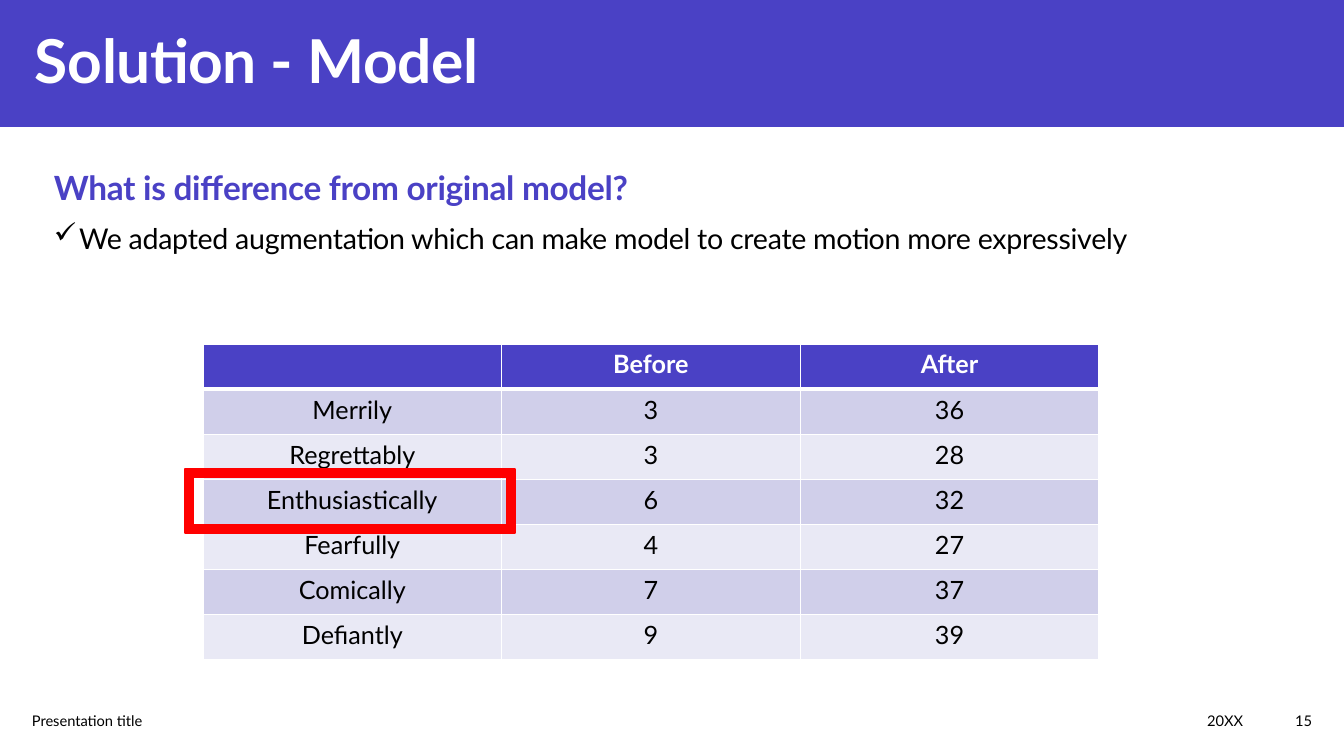
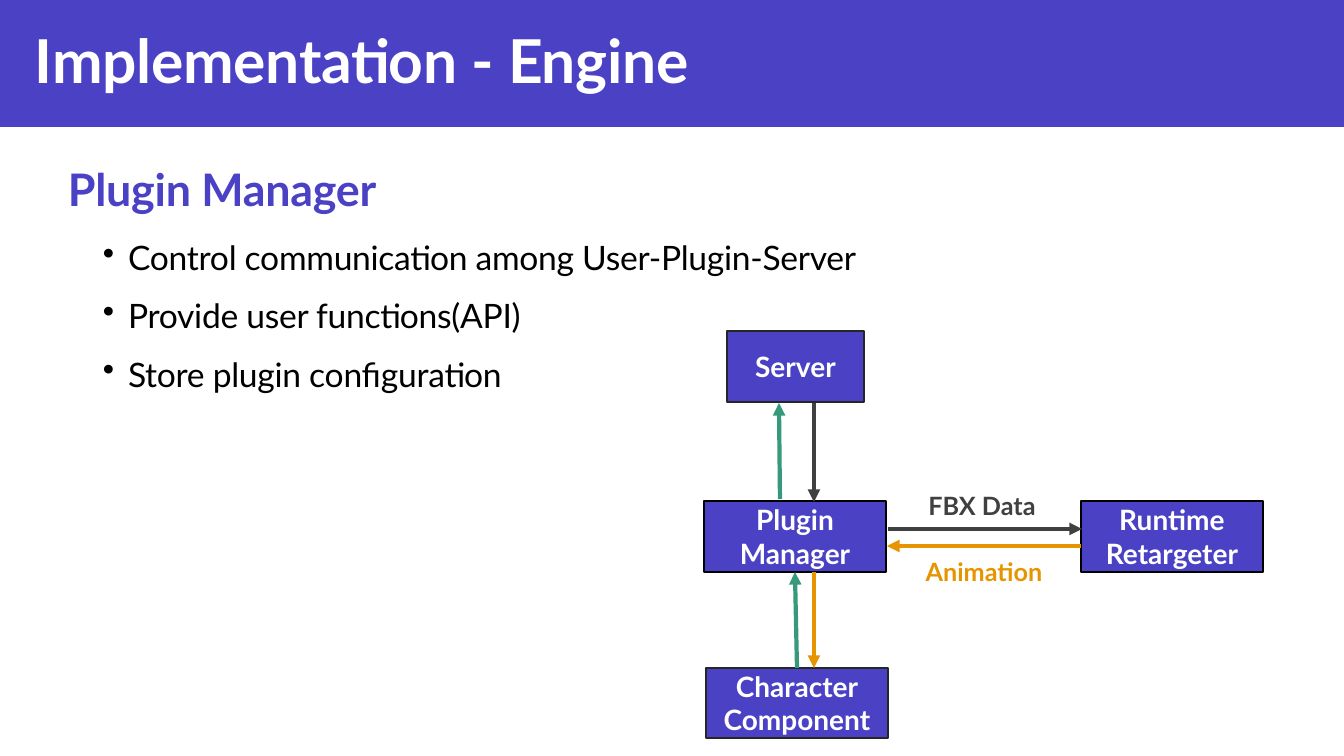
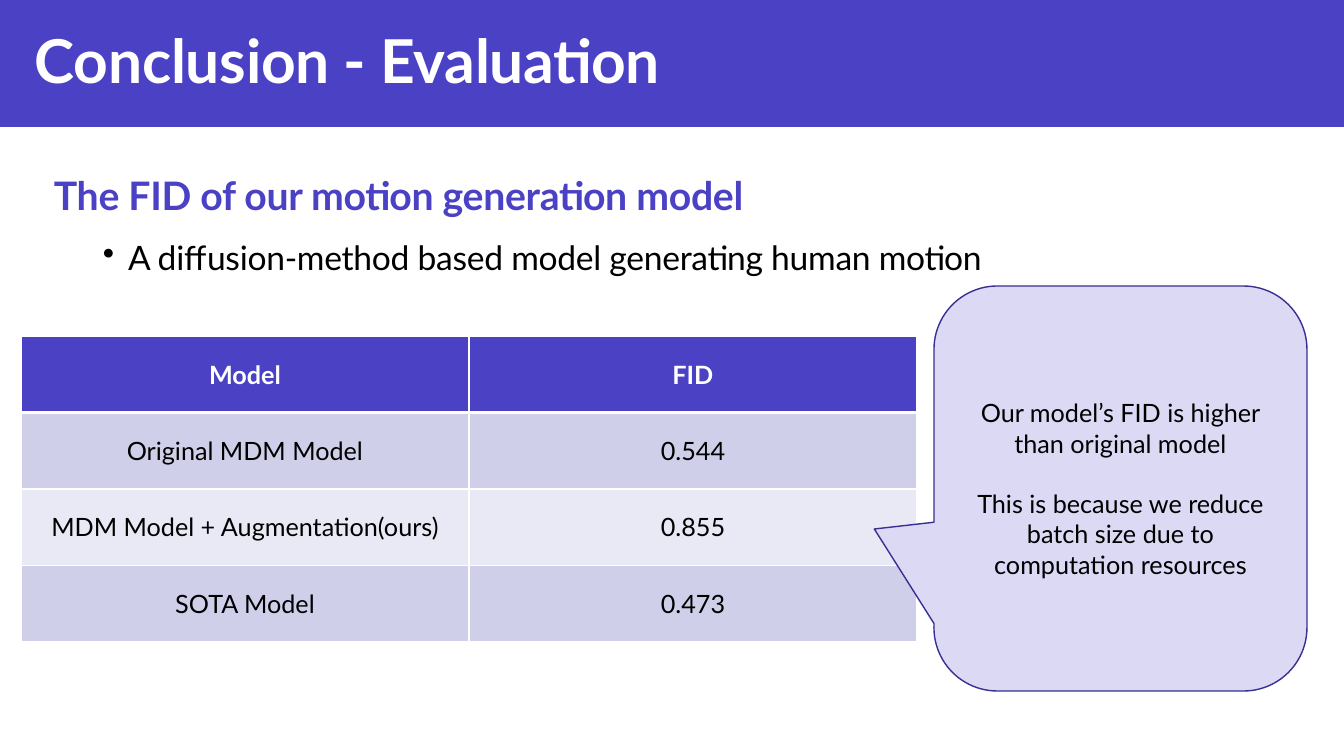
from dataclasses import dataclass

from lxml import etree
from pptx import Presentation
from pptx.dml.color import RGBColor
from pptx.enum.shapes import MSO_CONNECTOR, MSO_SHAPE
from pptx.enum.text import MSO_ANCHOR, PP_ALIGN
from pptx.oxml.ns import qn
from pptx.util import Emu, Pt

RECT = MSO_SHAPE.RECTANGLE
FRAME = MSO_SHAPE.FRAME
BUBBLE = MSO_SHAPE.ROUNDED_RECTANGULAR_CALLOUT
LINE = MSO_CONNECTOR.STRAIGHT
LEFT, MID, RIGHT = PP_ALIGN.LEFT, PP_ALIGN.CENTER, PP_ALIGN.RIGHT
TOP, CORE = MSO_ANCHOR.TOP, MSO_ANCHOR.MIDDLE

WIDE, HIGH = 1344, 756
SCALE = 12192000 / WIDE


@dataclass(frozen=True)
class Theme:
    font: str = "Lato"
    main: str = "4A41C5"
    white: str = "FFFFFF"
    black: str = "000000"
    edge: str = "262626"
    gray: str = "404040"
    green: str = "37997B"
    gold: str = "E69500"
    red: str = "FF0000"
    odd: str = "D0CFEA"
    even: str = "E9E9F5"
    pale: str = "DBD9F3"
    deep: str = "373092"
    title: float = 43.2
    body: float = 24
    node: float = 20
    cell: float = 18
    foot: float = 10.5
    tight: int = -20


T = Theme()


@dataclass(frozen=True)
class Area:
    x: int
    y: int
    w: int
    h: int


@dataclass(frozen=True)
class Node:
    name: str
    lines: tuple[str, ...]
    area: Area
    edge: str


@dataclass(frozen=True)
class Arrow:
    start: tuple[int, int]
    end: tuple[int, int]
    color: str
    tail: tuple[str, int] | None = None
    head: tuple[str, int] | None = None


def px(num: int) -> Emu:
    return Emu(round(num * SCALE))


def spot(area: Area) -> tuple[Emu, ...]:
    return px(area.x), px(area.y), px(area.w), px(area.h)


def rgb(code: str) -> RGBColor:
    return RGBColor.from_string(code)


def write(frame, *lines: str, size: float = T.cell, color: str = T.black,
          bold: bool = False, align=LEFT, mark: str = "", gap: float = 0,
          lead: float | None = None, track: int = 0, more: bool = False) -> None:
    """Fill a text frame, one paragraph a line; more adds below existing text."""
    for i, line in enumerate(lines):
        first = i == 0 and not more
        para = frame.paragraphs[0] if first else frame.add_paragraph()
        if mark:
            props = para._p.get_or_add_pPr()
            props.set("marL", "228600")
            props.set("indent", "-228600")
            etree.SubElement(props, qn("a:buChar")).set("char", mark)
        para.alignment = align
        if lead:
            para.line_spacing = lead
        if gap and not first:
            para.space_before = Pt(gap)
        run = para.add_run()
        run.text = line
        font = run.font
        font.name, font.size, font.bold = T.font, Pt(size), bold
        font.color.rgb = rgb(color)
        if track:
            run._r.get_or_add_rPr().set("spc", str(track))


def label(slide, area: Area, *lines: str, anchor=TOP, **form):
    frame = slide.shapes.add_textbox(*spot(area)).text_frame
    frame.word_wrap = True
    frame.vertical_anchor = anchor
    if anchor == CORE:
        frame.margin_top = frame.margin_bottom = 0
    write(frame, *lines, **form)
    return frame


def block(slide, kind, area: Area, fill: str, edge: str = ""):
    shape = slide.shapes.add_shape(kind, *spot(area))
    shape.shadow.inherit = False
    shape.fill.solid()
    shape.fill.fore_color.rgb = rgb(fill)
    if edge:
        shape.line.color.rgb = rgb(edge)
        shape.line.width = Pt(1)
    else:
        shape.line.fill.background()
    frame = shape.text_frame
    frame.word_wrap = True
    frame.vertical_anchor = CORE
    frame.margin_top = frame.margin_bottom = 0
    return shape


def rule(cell, side: str, width: float) -> None:
    line = etree.SubElement(cell._tc.get_or_add_tcPr(), qn(f"a:ln{side}"))
    line.set("w", str(Pt(width)))
    fill = etree.SubElement(line, qn("a:solidFill"))
    etree.SubElement(fill, qn("a:srgbClr")).set("val", T.white)


def grid(slide, area: Area, rows: list[tuple[str, ...]], anchor=TOP) -> None:
    table = slide.shapes.add_table(len(rows), len(rows[0]), *spot(area)).table
    for r, row in enumerate(rows):
        head = r == 0
        fill = T.main if head else T.odd if r % 2 else T.even
        for c, text in enumerate(row):
            cell = table.cell(r, c)
            for side in "LRTB":
                thick = (r, side) in ((0, "B"), (1, "T"))
                rule(cell, side, 3 if thick else 1)
            cell.fill.solid()
            cell.fill.fore_color.rgb = rgb(fill)
            cell.vertical_anchor = anchor
            write(cell.text_frame, text, bold=head, align=MID,
                  color=T.white if head else T.black)


def link(slide, arrow: Arrow, boxes: dict) -> None:
    ends = [px(n) for n in (*arrow.start, *arrow.end)]
    line = slide.shapes.add_connector(LINE, *ends)
    if arrow.tail:
        line.begin_connect(boxes[arrow.tail[0]], arrow.tail[1])
    if arrow.head:
        line.end_connect(boxes[arrow.head[0]], arrow.head[1])
    line.line.color.rgb = rgb(arrow.color)
    line.line.width = Pt(3)
    tip = etree.SubElement(line.line._get_or_add_ln(), qn("a:tailEnd"))
    tip.set("type", "triangle")
    etree.SubElement(line._element.spPr, qn("a:effectLst"))


def page(deck, title: str):
    """Start a slide with the shared band and title."""
    slide = deck.slides.add_slide(deck.slide_layouts[6])
    block(slide, RECT, Area(0, 0, WIDE, 127), T.main)
    label(slide, Area(25, 17, 1038, 85), title, anchor=CORE, size=T.title,
          color=T.white, bold=True, track=T.tight)
    return slide


def topic(slide, area: Area, text: str, size: float, lead: float | None = 1.1):
    return label(slide, area, text, size=size, color=T.main, bold=True,
                 lead=lead, track=T.tight)


def points(slide, high: int, *lines: str) -> None:
    label(slide, Area(93, 228, 1060, high), *lines, size=T.body, mark="•",
          gap=10, lead=1.1, track=T.tight)


def model(deck) -> None:
    slide = page(deck, "Solution - Model")
    # Footer
    for x, wide, text, align in ((22, 533, "Presentation title", LEFT),
                                 (773, 480, "20XX", RIGHT),
                                 (1253, 69, "15", RIGHT)):
        label(slide, Area(x, 701, wide, 40), text, anchor=CORE,
              size=T.foot, align=align)
    # Word counts
    grid(slide, Area(203, 344, 896, 316), [
        ("", "Before", "After"),
        ("Merrily", "3", "36"),
        ("Regrettably", "3", "28"),
        ("Enthusiastically", "6", "32"),
        ("Fearfully", "4", "27"),
        ("Comically", "7", "37"),
        ("Defiantly", "9", "39"),
    ])
    # Heading and claim
    frame = topic(slide, Area(44, 162, 1132, 126),
                  "What is difference from original model?", 23.8, None)
    write(frame, "We adapted augmentation which can make model to create "
          "motion more expressively", size=20.4, mark="✓", gap=10,
          track=T.tight, more=True)
    # Highlight
    block(slide, FRAME, Area(185, 469, 330, 64), T.red, T.red)


def plugin(deck) -> None:
    slide = page(deck, "Implementation - Engine")
    topic(slide, Area(58, 151, 954, 72), "Plugin Manager", 32)
    points(slide, 308, "Control communication among User-Plugin-Server",
           "Provide user functions(API)", "Store plugin configuration")
    # Boxes
    nodes = (
        Node("server", ("Server",), Area(727, 331, 137, 71), T.edge),
        Node("actor", ("Character", "Component"),
             Area(706, 668, 182, 70), T.edge),
        Node("target", ("Runtime", "Retargeter"),
             Area(1081, 501, 182, 71), T.black),
        Node("plugin", ("Plugin", "Manager"),
             Area(704, 501, 182, 71), T.black),
    )
    boxes = {}
    for node in nodes:
        box = block(slide, RECT, node.area, T.main, node.edge)
        write(box.text_frame, *node.lines, size=T.node, color=T.white,
              bold=True, align=MID)
        boxes[node.name] = box
    # Arrows
    for arrow in (
        Arrow((1081, 546), (887, 546), T.gold),
        Arrow((888, 529), (1082, 529), T.gray),
        Arrow((797, 668), (795, 572), T.green, ("actor", 0), ("plugin", 2)),
        Arrow((814, 572), (814, 668), T.gold),
        Arrow((814, 403), (814, 502), T.gray),
        Arrow((780, 499), (779, 403), T.green),
    ):
        link(slide, arrow, boxes)
    # Arrow labels
    for area, text, color in (
        (Area(898, 536, 172, 70), "Animation", T.gold),
        (Area(891, 490, 182, 30), "FBX Data", T.gray),
    ):
        label(slide, area, text, anchor=CORE, color=color, bold=True, align=MID)


def result(deck) -> None:
    slide = page(deck, "Conclusion - Evaluation")
    topic(slide, Area(44, 162, 873, 66),
          "The FID of our motion generation model", 28)
    points(slide, 118, "A diffusion-method based model generating human motion")
    # Scores
    grid(slide, Area(21, 336, 896, 306), [
        ("Model", "FID"),
        ("Original MDM Model", "0.544"),
        ("MDM Model + Augmentation(ours)", "0.855"),
        ("SOTA Model", "0.473"),
    ], CORE)
    # Remark
    note = block(slide, BUBBLE, Area(934, 286, 373, 405), T.pale, T.deep)
    for i, value in enumerate((-0.66, 0.1, 0.17)):
        note.adjustments[i] = value
    write(note.text_frame, "Our model’s FID is higher than original model",
          "This is because we reduce batch size due to computation resources",
          align=MID, gap=21.6)


def main() -> None:
    deck = Presentation()
    deck.slide_width, deck.slide_height = px(WIDE), px(HIGH)
    for build in (model, plugin, result):
        build(deck)
    deck.save("out.pptx")


if __name__ == "__main__":
    main()
